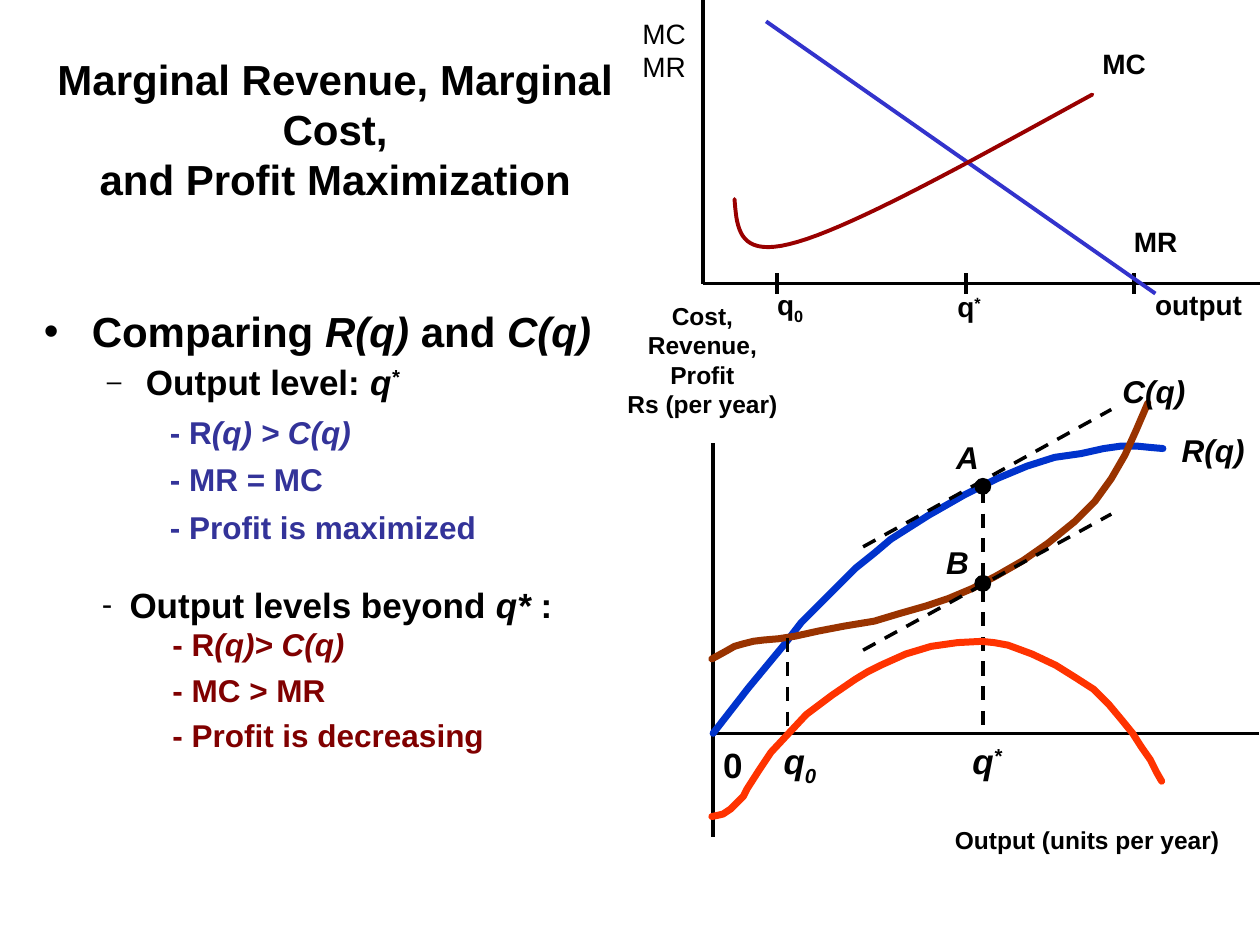
"""Build the slide on marginal revenue, marginal cost and profit maximization."""
from lxml import etree
from pptx import Presentation
from pptx.dml.color import RGBColor
from pptx.enum.dml import MSO_LINE
from pptx.enum.shapes import MSO_CONNECTOR, MSO_SHAPE
from pptx.enum.text import MSO_ANCHOR, MSO_AUTO_SIZE, PP_ALIGN
from pptx.oxml.ns import qn
from pptx.util import Inches, Pt

DASH = MSO_LINE.DASH
CENTER = PP_ALIGN.CENTER
TOP, BOTTOM = MSO_ANCHOR.TOP, MSO_ANCHOR.BOTTOM
FIXED, GROW = MSO_AUTO_SIZE.NONE, MSO_AUTO_SIZE.SHAPE_TO_FIT_TEXT
STRAIGHT, OVAL = MSO_CONNECTOR.STRAIGHT, MSO_SHAPE.OVAL
BLACK, INDIGO, MAROON = "000000", "333399", "800000"
SUPER, SUB = 30000, -25000

TITLE = [dict(spans=["Marginal Revenue, Marginal Cost,", "\v", "and Profit Maximization"],
              size=24, align=CENTER)]

MAXIMUM = dict(size=18, color=INDIGO, level=2, indent=(1.25, -0.25), spacing=0.9, before=7.9)
BODY = [
    dict(spans=["Comparing ", ("R(q) ", True), "and ", ("C(q)", True)],
         size=24, indent=(0.38, -0.38), spacing=0.9, bullet=("•", 100)),
    dict(spans=["Output level: ", ("q", True), ("*", True, SUPER)],
         size=20, level=1, indent=(0.81, -0.31), spacing=0.9, before=5, bullet=("–", 75)),
    dict(MAXIMUM, spans=["- R", ("(q) > C(q)", True)]),
    dict(MAXIMUM, spans=["- MR = MC"]),
    dict(MAXIMUM, spans=["- Profit is maximized"]),
]

DECREASE = dict(size=18, color=MAROON, level=2, indent=(1.27, 0))
BEYOND = [
    dict(spans=["Output levels beyond ", ("q* ", True), ":"],
         size=20, level=1, indent=(0.93, -0.22), bullet=("-", 90)),
    dict(DECREASE, spans=["- R", ("(q)> C(q)", True)], level=1),
    dict(DECREASE, spans=["- MC > MR"], spacing=1.2),
    dict(DECREASE, spans=["- Profit is decreasing"], spacing=1.2),
]

LABELS = [
    ((9.28, 3.37, 0.72, 0.4), 18, [("R(q)", True)]),
    ((5.64, 5.85, 0.4, 0.43), 20, ["0"]),
    ((7.48, 6.5, 2.4, 0.33), 14, ["Output (units per year)"]),
    ((8.81, 2.9, 0.75, 0.4), 18, [("C(q)", True)]),
    ((7.49, 3.43, 0.45, 0.4), 18, [("A", True)]),
    ((7.41, 4.26, 0.45, 0.4), 18, [("B", True)]),
    ((6.12, 5.82, 0.55, 0.48), 20, [("q", True), ("0", True, SUB)]),
    ((7.62, 5.82, 0.5, 0.43), 20, [("q", True), ("*", True, SUPER)]),
    ((6.07, 2.23, 0.5, 0.41), 16, ["q", ("0", False, SUB)]),
    ((7.5, 2.25, 0.5, 0.37), 16, ["q", ("*", False, SUPER)]),
    ((8.65, 0.32, 0.65, 0.37), 16, ["MC"]),
    ((8.9, 1.73, 0.65, 0.37), 16, ["MR"]),
    ((9.07, 2.23, 0.93, 0.37), 16, ["output"]),
]
UPPER_AXIS = [dict(spans=[name], size=16, bold=False) for name in ("MC", "MR")]
LOWER_AXIS = [dict(spans=[name], size=14, align=CENTER)
              for name in ("Cost,", "Revenue,", "Profit", "Rs (per year)")]

AXES = [((5.67, 5.82), (9.99, 5.82), 2), ((5.66, 3.52), (5.66, 6.64), 2),
        ((5.58, 2.25), (5.58, 0), 2.25), ((5.58, 2.25), (10, 2.25), 2.25)]
TICKS = [6.17, 7.67, 9]
DASHED = [((6.85, 4.34), (8.82, 3.25)), ((6.85, 5.16), (8.82, 4.08)),
          ((6.25, 5.06), (6.25, 5.81)), ((7.8, 3.88), (7.8, 5.81))]
TANGENCY_POINTS = [(7.8, 4.63), (7.8, 3.86)]

REVENUE = [(5.66, 5.82), (5.94, 5.46), (6.23, 5.11), (6.36, 4.94), (6.51, 4.79), (6.65, 4.65),
           (6.79, 4.51), (6.94, 4.39), (7.07, 4.28), (7.37, 4.09), (7.65, 3.93), (7.91, 3.8),
           (8.03, 3.75), (8.15, 3.7), (8.37, 3.63), (8.58, 3.6), (8.76, 3.56), (8.9, 3.54),
           (9.02, 3.54), (9.12, 3.55), (9.23, 3.56)]
COST = [(5.65, 5.23), (5.76, 5.17), (5.83, 5.13), (5.9, 5.11), (5.98, 5.09), (6.06, 5.08),
        (6.18, 5.07), (6.31, 5.05), (6.4, 5.03), (6.49, 5.01), (6.7, 4.97), (6.94, 4.93),
        (7.14, 4.87), (7.35, 4.81), (7.53, 4.75), (7.72, 4.67), (7.91, 4.57), (8.12, 4.45),
        (8.32, 4.31), (8.53, 4.14), (8.69, 3.98), (8.82, 3.8), (8.93, 3.61), (9.02, 3.41),
        (9.11, 3.2)]
PROFIT = [(5.65, 6.48), (5.7, 6.47), (5.74, 6.46), (5.8, 6.42), (5.83, 6.39), (5.86, 6.36),
          (5.9, 6.32), (5.93, 6.26), (6.02, 6.12), (6.12, 5.97), (6.26, 5.82), (6.4, 5.67),
          (6.6, 5.52), (6.79, 5.39), (6.89, 5.33), (6.99, 5.28), (7.19, 5.19), (7.39, 5.13),
          (7.6, 5.1), (7.79, 5.09), (7.89, 5.1), (8, 5.12), (8.19, 5.19), (8.38, 5.28),
          (8.54, 5.38), (8.68, 5.47), (8.8, 5.59), (8.9, 5.71), (8.99, 5.82), (9.06, 5.93),
          (9.13, 6.03), (9.18, 6.13), (9.22, 6.2)]
MARGINAL_COST = [[(5.83, 1.58), (5.85, 1.82), (5.86, 2.06), (6.33, 1.92)],
                 [(6.33, 1.92), (6.81, 1.78), (7.74, 1.26), (8.67, 0.75)]]


def rgb(color):
    return RGBColor.from_string(color)


def bezier(controls, steps=20):
    weights = (1, 3, 3, 1)
    for step in range(steps + 1):
        t = step / steps
        yield tuple(sum(weight * (1 - t) ** (3 - power) * t ** power * point[axis]
                        for power, (weight, point) in enumerate(zip(weights, controls)))
                    for axis in (0, 1))


def add_bullet(properties, symbol, percent):
    color = etree.SubElement(properties, qn("a:buClr"))
    etree.SubElement(color, qn("a:srgbClr"), val=BLACK)
    etree.SubElement(properties, qn("a:buSzPct"), val=str(percent * 1000))
    etree.SubElement(properties, qn("a:buFont"), typeface="Arial")
    etree.SubElement(properties, qn("a:buChar"), char=symbol)


def add_span(para, text, italic=False, baseline=0):
    span = para.add_run()
    span.text = text
    if italic:
        span.font.italic = True
    if baseline:
        span._r.get_or_add_rPr().set("baseline", str(baseline))


def fill_paragraph(para, spans, size, color=BLACK, bold=True, align=None, level=0,
                   indent=(0, 0), spacing=None, before=0, bullet=None):
    para.alignment, para.level = align, level
    para.line_spacing, para.space_before = spacing, Pt(before)
    properties = para._p.get_or_add_pPr()
    properties.set("marL", str(Inches(indent[0])))
    properties.set("indent", str(Inches(indent[1])))
    if bullet:
        add_bullet(properties, *bullet)
    font = para.font
    font.name, font.size, font.bold = "Arial", Pt(size), bold
    font.color.rgb = rgb(color)
    for item in spans:
        if item == "\v":
            para.add_line_break()
        elif isinstance(item, str):
            add_span(para, item)
        else:
            add_span(para, *item)


def add_text(page, place, paragraphs, fit=GROW, anchor=TOP):
    frame = page.shapes.add_textbox(*map(Inches, place)).text_frame
    frame.word_wrap, frame.auto_size, frame.vertical_anchor = True, fit, anchor
    for index, content in enumerate(paragraphs):
        para = frame.add_paragraph() if index else frame.paragraphs[0]
        fill_paragraph(para, **content)


def add_line(page, start, end, width, color=BLACK, dash=None):
    line = page.shapes.add_connector(STRAIGHT, *map(Inches, start + end))
    line.line.color.rgb, line.line.width = rgb(color), Pt(width)
    if dash:
        line.line.dash_style = dash
    etree.SubElement(line._element.spPr, qn("a:effectLst"))


def add_curve(page, points, color, width):
    places = [tuple(map(Inches, point)) for point in points]
    builder = page.shapes.build_freeform(*places[0])
    builder.add_line_segments(places[1:], close=False)
    curve = builder.convert_to_shape()
    curve.fill.background()
    curve.line.color.rgb, curve.line.width = rgb(color), Pt(width)
    curve.line._get_or_add_ln().set("cap", "rnd")
    curve.shadow.inherit = False


def add_dot(page, x, y, size=0.12):
    dot = page.shapes.add_shape(OVAL, *map(Inches, (x - size / 2, y - size / 2, size, size)))
    dot.fill.solid()
    dot.fill.fore_color.rgb = dot.line.color.rgb = rgb(BLACK)
    dot.line.width = Pt(1)
    dot.shadow.inherit = False


def main():
    deck = Presentation()
    deck.slide_width, deck.slide_height = Inches(10), Inches(7.5)
    page = deck.slides.add_slide(deck.slide_layouts[6])
    add_text(page, (0.17, 0.42, 4.98, 1.25), TITLE, FIXED, BOTTOM)
    add_text(page, (0.25, 2.42, 4.58, 2), BODY, FIXED)
    add_text(page, (0, 4.58, 4.67, 1.76), BEYOND)
    for start, end, width in AXES:
        add_line(page, start, end, width)
    for x in TICKS:
        add_line(page, (x, 2.17), (x, 2.33), 2.25)
    add_line(page, (6.08, 0.17), (9.17, 2.33), 2.25, "3333CC")
    add_curve(page, [point for part in MARGINAL_COST for point in bezier(part)], "990000", 2.25)
    add_curve(page, REVENUE, "0033CC", 4)
    add_curve(page, COST, "993300", 4)
    for start, end in DASHED:
        add_line(page, start, end, 2, dash=DASH)
    for x, y in TANGENCY_POINTS:
        add_dot(page, x, y)
    add_curve(page, PROFIT, "FF3300", 4)
    add_text(page, (5, 0.08, 0.65, 0.64), UPPER_AXIS)
    add_text(page, (4.83, 2.34, 1.49, 1.03), LOWER_AXIS)
    for place, size, spans in LABELS:
        add_text(page, place, [dict(spans=spans, size=size)])
    deck.save("out.pptx")


if __name__ == "__main__":
    main()
